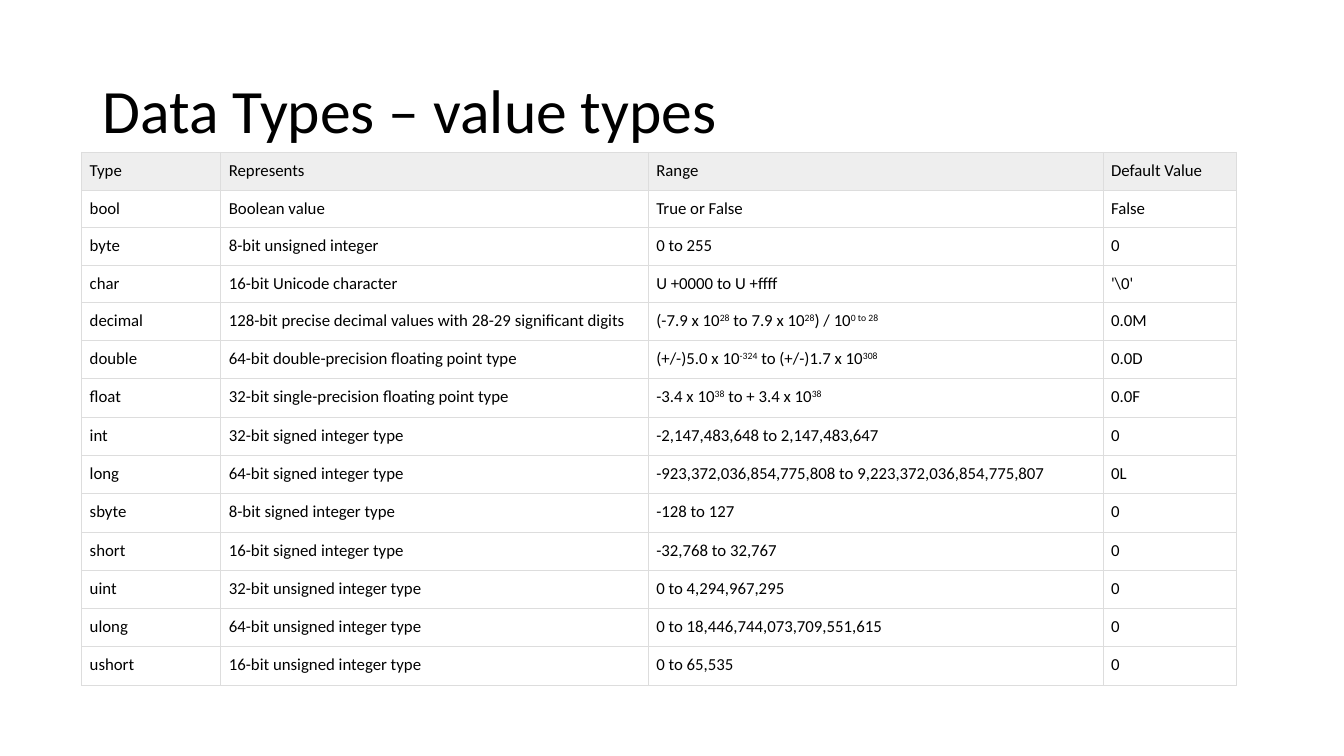
from dataclasses import dataclass

from pptx import Presentation
from pptx.dml.color import RGBColor as RGB
from pptx.enum.text import MSO_ANCHOR as ANCHOR
from pptx.oxml import parse_xml
from pptx.oxml.ns import nsdecls
from pptx.util import Inches, Pt


@dataclass(frozen=True)
class Theme:
    """Colours, font and type sizes of the slide."""
    font: str = "Calibri"
    text: str = "000000"
    header: str = "EEEEEE"
    border: str = "DDDDDD"
    border_pt: float = 0.75
    title_pt: int = 44
    body_pt: int = 12


THEME = Theme()
TITLE = "Data Types – value types"
TITLE_BOX = (0.92, 0.4, 11.5, 1.45)
TABLE_BOX = (0.81, 1.51, 11.45, 5.29)
COL_WIDTHS = (1.38, 4.24, 4.51, 1.32)
ROW_HEIGHTS = [0.38] + [0.37] * 3 + [0.38] * 10
CELL_FORMAT = {f"margin_{side}": Inches(0.08)
               for side in ("left", "top", "right", "bottom")}
TABLE_FORMAT = {"first_row": False, "horz_banding": False}
TITLE_FORMAT = {"word_wrap": True, "vertical_anchor": ANCHOR.MIDDLE}

# Text between bars is superscript.
ROWS = [
    ("Type", "Represents", "Range", "Default Value"),
    ("bool", "Boolean value", "True or False", "False"),
    ("byte", "8-bit unsigned integer", "0 to 255", "0"),
    ("char", "16-bit Unicode character", "U +0000 to U +ffff", "'\\0'"),
    ("decimal", "128-bit precise decimal values with 28-29 significant digits",
     "(-7.9 x 10|28|\u00a0to 7.9 x 10|28|) / 10|0 to 28|", "0.0M"),
    ("double", "64-bit double-precision floating point type",
     "(+/-)5.0 x 10|-324|\u00a0to (+/-)1.7 x 10|308|", "0.0D"),
    ("float", "32-bit single-precision floating point type",
     "-3.4 x 10|38|\u00a0to + 3.4 x 10|38|", "0.0F"),
    ("int", "32-bit signed integer type", "-2,147,483,648 to 2,147,483,647", "0"),
    ("long", "64-bit signed integer type",
     "-923,372,036,854,775,808 to 9,223,372,036,854,775,807", "0L"),
    ("sbyte", "8-bit signed integer type", "-128 to 127", "0"),
    ("short", "16-bit signed integer type", "-32,768 to 32,767", "0"),
    ("uint", "32-bit unsigned integer type", "0 to 4,294,967,295", "0"),
    ("ulong", "64-bit unsigned integer type",
     "0 to 18,446,744,073,709,551,615", "0"),
    ("ushort", "16-bit unsigned integer type", "0 to 65,535", "0"),
]


def apply_format(obj, values):
    """Set each named attribute of obj."""
    for name, value in values.items():
        setattr(obj, name, value)


def write_text(p, text, size):
    """Fill a paragraph, raising the parts between bars."""
    for i, part in enumerate(text.split("|")):
        if not part:
            continue
        r = p.add_run()
        r.text = part
        apply_format(r.font, {"name": THEME.font, "size": Pt(size)})
        r.font.color.rgb = RGB.from_string(THEME.text)
        if i % 2:
            r.font._element.set("baseline", "30000")


def add_borders(cell):
    """Draw a thin line on the four sides of a cell."""
    tc_pr = cell._tc.get_or_add_tcPr()
    for i, side in enumerate(("lnL", "lnR", "lnT", "lnB")):
        tc_pr.insert(i, parse_xml(
            f'<a:{side} {nsdecls("a")} w="{Pt(THEME.border_pt)}"><a:solidFill>'
            f'<a:srgbClr val="{THEME.border}"/></a:solidFill></a:{side}>'))


def add_title(s, box):
    """Place the slide title, centred vertically in its box."""
    tf = s.shapes.add_textbox(*map(Inches, box)).text_frame
    apply_format(tf, TITLE_FORMAT)
    p = tf.paragraphs[0]
    p.line_spacing = 0.9
    write_text(p, TITLE, THEME.title_pt)


def add_types_table(s, box):
    """Place the table of value types in its box."""
    table = s.shapes.add_table(len(ROWS), len(COL_WIDTHS),
                               *map(Inches, box)).table
    apply_format(table, TABLE_FORMAT)
    for col, width in zip(table.columns, COL_WIDTHS):
        col.width = Inches(width)
    for i, (row, height, texts) in enumerate(zip(table.rows, ROW_HEIGHTS, ROWS)):
        row.height = Inches(height)
        for cell, text in zip(row.cells, texts):
            apply_format(cell, CELL_FORMAT)
            if i == 0:
                cell.fill.solid()
                cell.fill.fore_color.rgb = RGB.from_string(THEME.header)
            else:
                cell.fill.background()
            add_borders(cell)
            write_text(cell.text_frame.paragraphs[0], text, THEME.body_pt)


def main():
    """Build the slide and save it."""
    prs = Presentation()
    prs.slide_width, prs.slide_height = Inches(13.33), Inches(7.5)
    s = prs.slides.add_slide(prs.slide_layouts[6])
    add_title(s, TITLE_BOX)
    add_types_table(s, TABLE_BOX)
    prs.save("out.pptx")


main()
